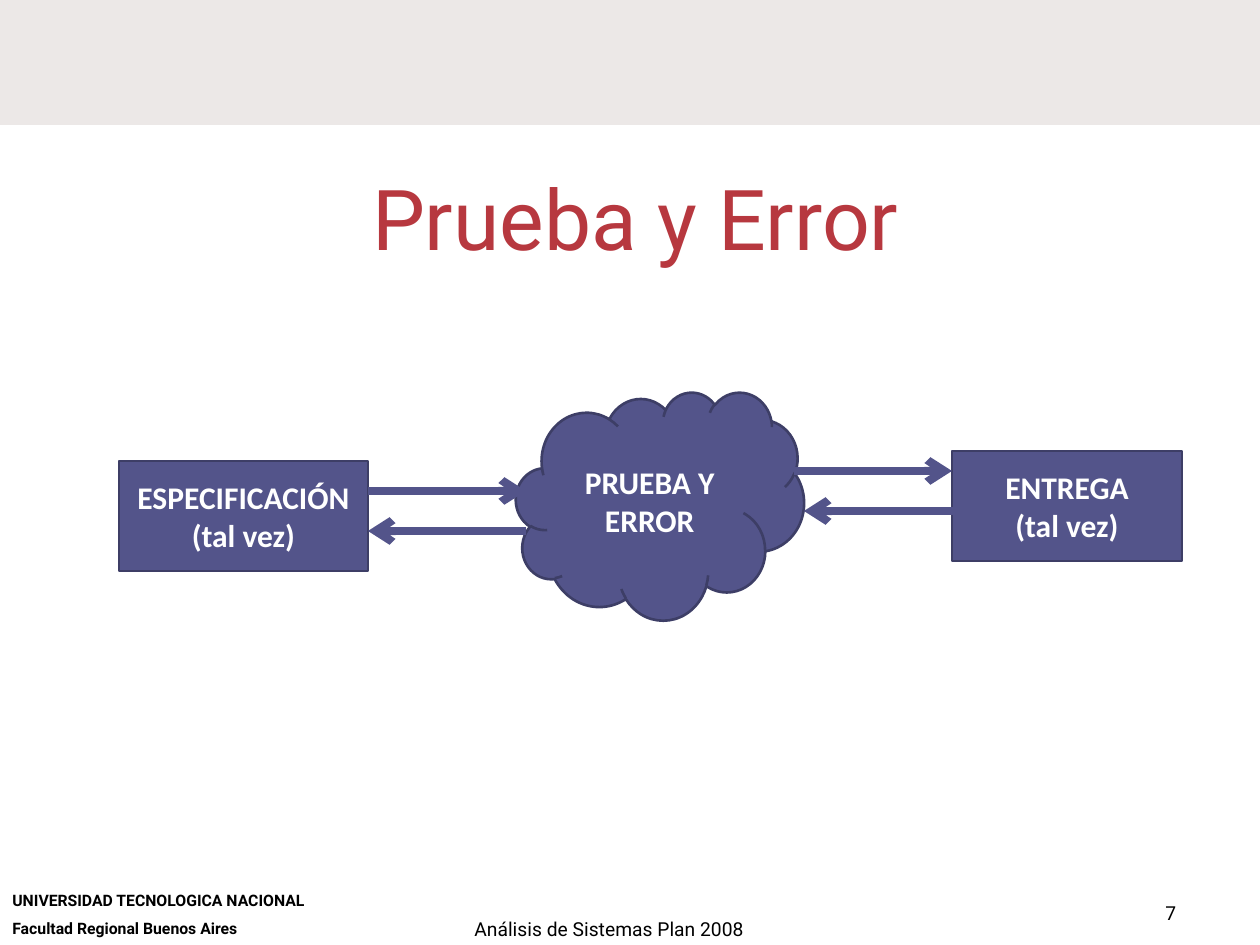
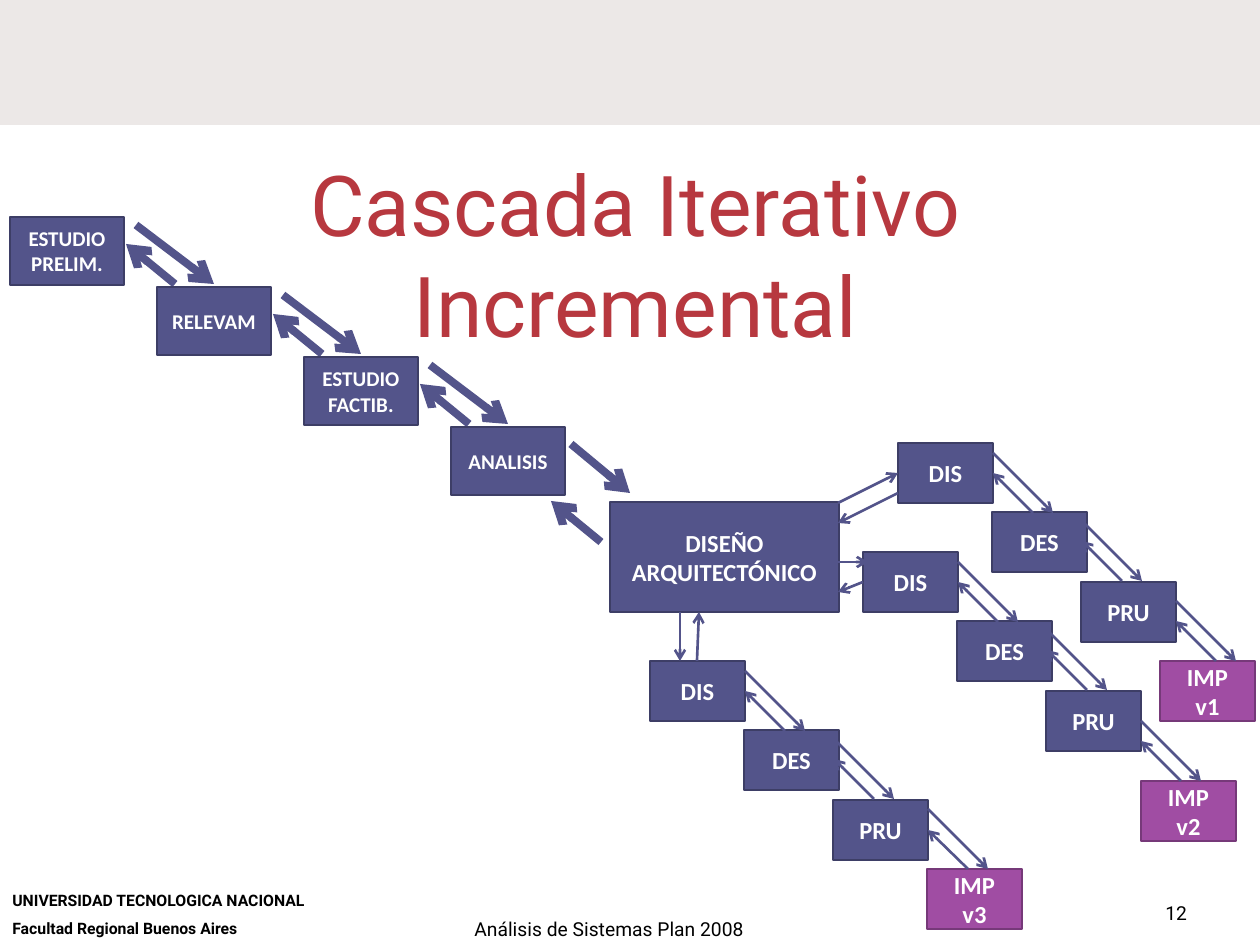
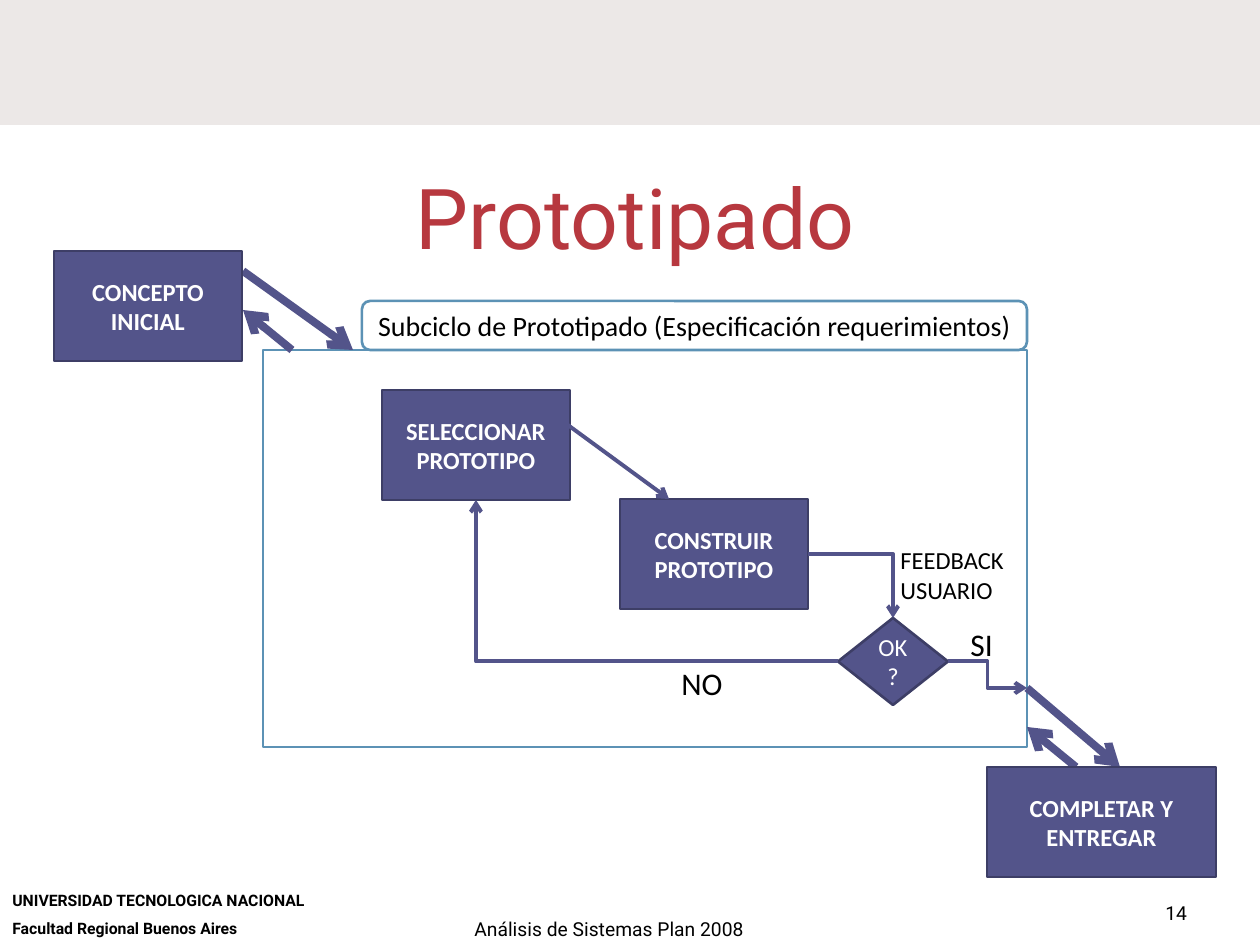
"""Build three slides on software life cycle models."""
import copy

from pptx import Presentation, dml, util as u
from pptx.dml import color
from pptx.enum import shapes, text
from pptx.oxml import ns, xmlchemy

SCALE = 914400 / 126
BLUE, EDGE = "53548A", "3D3E66"
PLUM, RIM = "A04DA3", "763979"
RED, BAND, SKY = "B7383F", "ECE8E7", "5C92B5"
WHITE, BLACK = "FFFFFF", "000000"
HEAD, BODY = "Roboto", "Calibri"
FORM = shapes.MSO_SHAPE
LEFT, MID = text.PP_ALIGN.LEFT, text.PP_ALIGN.CENTER
TOP, CORE, BASE = text.MSO_ANCHOR.TOP, text.MSO_ANCHOR.MIDDLE, text.MSO_ANCHOR.BOTTOM


def px(*vals):
    return [round(v * SCALE) for v in vals]


def rgb(code):
    return color.RGBColor.from_string(code)


def write(shape, *paras, size=14, font=BODY, ink=BLACK, bold=False,
          align=LEFT, anchor=TOP, gap=0, wrap=True):
    frame = shape.text_frame
    frame.word_wrap = wrap
    frame.vertical_anchor = anchor
    for i, words in enumerate(paras):
        para = frame.add_paragraph() if i else frame.paragraphs[0]
        para.text = words
        para.alignment = align
        para.space_before = u.Pt(gap if i else 0)
        for run in para.runs:
            run.font.size = u.Pt(size)
            run.font.name = font
            run.font.bold = bold
            run.font.color.rgb = rgb(ink)
        for brk in para._p.findall(ns.qn("a:br")):
            brk.append(copy.deepcopy(para.runs[0]._r.rPr))
    return frame


class Deck:
    """Hold the shared style and the current slide."""

    def __init__(self):
        self.prs = Presentation()
        self.prs.slide_width, self.prs.slide_height = px(1260, 945)

    def start(self, title, number, height):
        self.page = self.prs.slides.add_slide(self.prs.slide_layouts[6])
        self.box(0, 0, 1260, 125, fill=BAND, edge=None)
        self.note(0, 885, 384, 60, "UNIVERSIDAD TECNOLOGICA NACIONAL",
                  "Facultad Regional Buenos Aires", size=9, font=HEAD, bold=True, gap=5)
        self.note(462, 911, 316, 34, "Análisis de Sistemas Plan 2008", size=11, font=HEAD)
        self.note(1153, 895, 105, 50, number, size=11, font=HEAD)
        frame = self.note(100, 167, 1071, height, title, size=48, font=HEAD,
                          ink=RED, align=MID, anchor=BASE)
        frame.margin_top = frame.margin_bottom = 0

    def note(self, x, y, w, h, *paras, **look):
        return write(self.page.shapes.add_textbox(*px(x, y, w, h)), *paras, **look)

    def box(self, x, y, w, h, words="", form=FORM.RECTANGLE, fill=BLUE, edge=EDGE, **look):
        shape = self.page.shapes.add_shape(form, *px(x, y, w, h))
        shape.shadow.inherit = False
        shape.fill.solid()
        shape.fill.fore_color.rgb = rgb(fill)
        if edge:
            shape.line.color.rgb = rgb(edge)
            shape.line.width = u.Pt(1.5)
        else:
            shape.line.fill.background()
        if words:
            write(shape, words, **{"ink": WHITE, "bold": True, "align": MID,
                                   "anchor": CORE, **look})
        return shape

    def arrow(self, x1, y1, x2, y2, width=1.5, start=None, end=None, bend=0):
        kind = shapes.MSO_CONNECTOR.ELBOW if bend else shapes.MSO_CONNECTOR.STRAIGHT
        link = self.page.shapes.add_connector(kind, *px(x1, y1, x2, y2))
        if start:
            link.begin_connect(*start)
        if end:
            link.end_connect(*end)
        link.line.color.rgb = rgb(BLUE)
        link.line.width = u.Pt(width)
        props = link._element.spPr
        if bend:
            props.find(ns.qn("a:prstGeom")).set("prst", f"bentConnector{bend}")
        tip = xmlchemy.OxmlElement("a:tailEnd")
        tip.set("type", "arrow")
        link.get_or_add_ln().append(tip)
        props.append(xmlchemy.OxmlElement("a:effectLst"))

    def pair(self, x, y, end=None):
        self.arrow(x, y, x + 60, y + 60)
        self.arrow(x + 40, y + 60, x, y + 20, end=end)


def trial(deck):
    deck.start("Prueba y Error", "7", 100)
    deck.box(516, 392, 288, 228, "PRUEBA Y ERROR", form=FORM.CLOUD, size=18)
    deck.box(952, 451, 230, 110, "ENTREGA\n(tal vez)", size=18)
    deck.box(119, 461, 249, 110, "ESPECIFICACIÓN\n(tal vez)", size=18)
    for ends in ((794, 471, 952, 471), (962, 511, 804, 511),
                 (368, 491, 526, 491), (526, 531, 368, 531)):
        deck.arrow(*ends, width=4.5)


def branch(deck, x, y, ver, end_x, end_y):
    first = deck.box(x, y, 95, 60, "DIS")
    deck.box(x + 94, y + 69, 95, 60, "DES")
    last = deck.box(x + 183, y + 139, 95, 60, "PRU")
    deck.box(end_x, end_y, 95, 60, f"IMP {ver}", fill=PLUM, edge=RIM)
    deck.pair(x + 95, y + 10, end=(first, 3))
    deck.pair(x + 184, y + 78)
    deck.pair(x + 278, end_y - 60, end=(last, 3) if ver == "v3" else None)
    return first


def cascade(deck):
    deck.start("Cascada Iterativo Incremental", "12", 187)
    deck.box(610, 502, 229, 110, "DISEÑO ARQUITECTÓNICO")
    one = branch(deck, 898, 443, "v1", 1160, 661)
    two = branch(deck, 863, 552, "v2", 1141, 781)
    branch(deck, 650, 661, "v3", 927, 869)
    deck.arrow(838, 503, 898, 473, end=(one, 1))
    deck.arrow(898, 493, 838, 523)
    deck.arrow(838, 562, 868, 562)
    deck.arrow(863, 582, 838, 592, start=(two, 1))
    deck.arrow(680, 612, 680, 661)
    deck.arrow(697, 661, 699, 612)
    steps = ("ESTUDIO\nPRELIM.", "RELEVAM", "ESTUDIO\nFACTIB.", "ANALISIS")
    for i, step in enumerate(steps):
        x, y = 10 + 147 * i, 217 + 70 * i
        deck.box(x, y, 114, 68, step, size=12)
        if i < len(steps) - 1:
            deck.arrow(x + 126, y + 8, x + 204, y + 67, width=4.5)
            deck.arrow(x + 165, y + 67, x + 116, y + 27, width=4.5)
    deck.arrow(571, 444, 630, 493, width=4.5)
    deck.arrow(601, 542, 551, 501, width=4.5)


def proto(deck):
    deck.start("Prototipado", "14", 99)
    deck.box(263, 350, 764, 397, fill=WHITE, edge=SKY)
    for ends in ((243, 271, 353, 350), (292, 350, 243, 310),
                 (1027, 688, 1120, 767), (1076, 767, 1027, 727)):
        deck.arrow(*ends, width=4.5)
    deck.box(54, 251, 188, 110, "CONCEPTO INICIAL")
    build = deck.box(620, 499, 188, 110, "CONSTRUIR PROTOTIPO")
    deck.box(987, 767, 229, 110, "COMPLETAR Y ENTREGAR")
    pick = deck.box(382, 390, 188, 110, "SELECCIONAR PROTOTIPO")
    test = deck.box(838, 618, 110, 87, "OK?", form=FORM.DIAMOND, bold=False)
    deck.arrow(808, 554, 893, 618, 2.25, start=(build, 3), end=(test, 0), bend=2)
    deck.arrow(838, 662, 476, 500, 2.25, start=(test, 1), end=(pick, 2), bend=2)
    deck.arrow(948, 662, 1027, 688, 2.25, start=(test, 3), bend=3)
    deck.arrow(561, 420, 669, 499, 2.25)
    deck.note(669, 658, 67, 50, "NO", size=18, wrap=False)
    deck.note(958, 619, 48, 50, "SI", size=18, wrap=False)
    deck.box(362, 301, 665, 49, "Subciclo de Prototipado (Especificación requerimientos)",
             form=FORM.ROUNDED_RECTANGLE, fill=WHITE, edge=SKY, size=16, ink=BLACK, bold=False)
    deck.note(888, 539, 169, 72, "FEEDBACK USUARIO")


def main():
    deck = Deck()
    for draw in (trial, cascade, proto):
        draw(deck)
    deck.prs.save("out.pptx")


if __name__ == "__main__":
    main()
